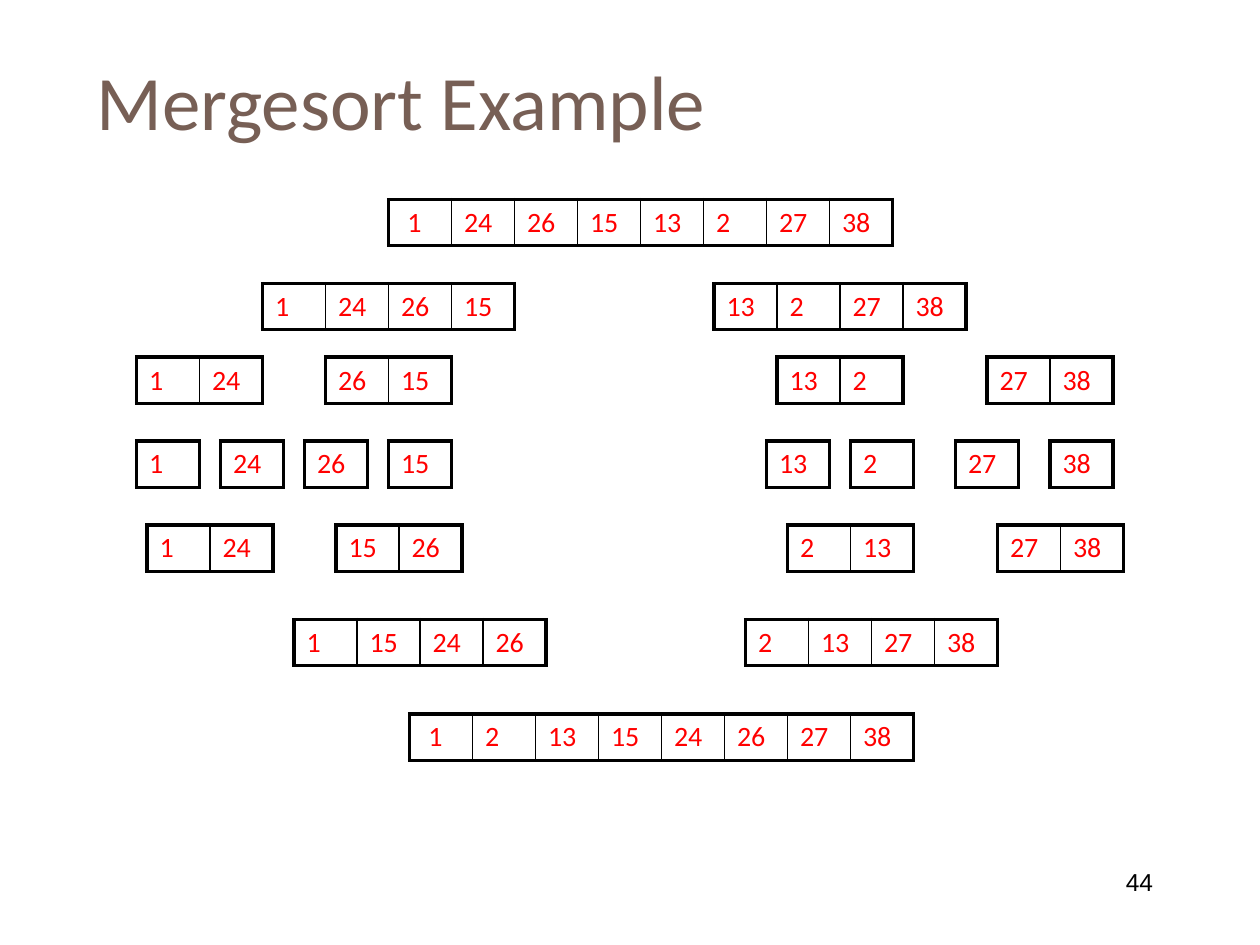
from dataclasses import dataclass

from lxml.etree import SubElement
from pptx import Presentation
from pptx.dml.color import RGBColor
from pptx.enum.text import MSO_ANCHOR, PP_ALIGN
from pptx.oxml.ns import qn
from pptx.util import Emu, Pt

EMU_PER_PX = 7620  # 120 px to the inch
CELL_WIDTH, CELL_HEIGHT = 60, 44


@dataclass(frozen=True)
class Theme:
    heading: str = "775F55"
    number: str = "FF0000"
    ink: str = "000000"
    body_font: str = "Calibri"
    footer_font: str = "Arial"
    heading_size: int = 44
    number_size: int = 16
    footer_size: int = 14
    outer_line: float = 2.25
    inner_line: float = 1


@dataclass(frozen=True)
class SortedRun:
    left: int
    numbers: str  # comma-separated cell texts


@dataclass(frozen=True)
class Level:
    top: int
    runs: tuple[SortedRun, ...]


THEME = Theme()

LEVELS = (
    # Splitting
    Level(190, (SortedRun(370, " 1,24,26,15,13,2,27,38"),)),
    Level(270, (SortedRun(250, "1,24,26,15"), SortedRun(680, "13,2,27,38"))),
    Level(340, (SortedRun(130, "1,24"), SortedRun(310, "26,15"),
                SortedRun(740, "13,2"), SortedRun(940, "27,38"))),
    Level(420, (SortedRun(130, "1"), SortedRun(210, "24"),
                SortedRun(290, "26"), SortedRun(370, "15"),
                SortedRun(730, "13"), SortedRun(810, "2"),
                SortedRun(910, "27"), SortedRun(1000, "38"))),
    # Merging
    Level(500, (SortedRun(140, "1,24"), SortedRun(320, "15,26"),
                SortedRun(750, "2,13"), SortedRun(950, "27,38"))),
    Level(590, (SortedRun(280, "1,15,24,26"), SortedRun(710, "2,13,27,38"))),
    Level(680, (SortedRun(390, " 1,2,13,15,24,26,27,38"),)),
)


def px(length: int) -> Emu:
    return Emu(length * EMU_PER_PX)


def write_text(frame, text: str, *, size: int, color: str,
               font: str = THEME.body_font, align=PP_ALIGN.LEFT) -> None:
    paragraph = frame.paragraphs[0]
    paragraph.alignment = align
    run = paragraph.add_run()
    run.text = text
    run.font.size = Pt(size)
    run.font.name = font
    run.font.color.rgb = RGBColor.from_string(color)


def add_text_box(slide, left: int, top: int, width: int, height: int,
                 text: str, *, anchor=MSO_ANCHOR.TOP, **text_format) -> None:
    frame = slide.shapes.add_textbox(
        px(left), px(top), px(width), px(height)).text_frame
    frame.word_wrap = True
    frame.vertical_anchor = anchor
    write_text(frame, text, **text_format)


def set_borders(cell, is_first: bool, is_last: bool) -> None:
    outer, inner = THEME.outer_line, THEME.inner_line
    widths = {"a:lnL": outer if is_first else inner,
              "a:lnR": outer if is_last else inner,
              "a:lnT": outer, "a:lnB": outer}
    properties = cell._tc.get_or_add_tcPr()
    for side, width in widths.items():
        line = SubElement(properties, qn(side), w=str(Pt(width)))
        fill = SubElement(line, qn("a:solidFill"))
        SubElement(fill, qn("a:srgbClr"), val=THEME.ink)


def draw_run(slide, top: int, sorted_run: SortedRun) -> None:
    numbers = sorted_run.numbers.split(",")
    count = len(numbers)
    table = slide.shapes.add_table(
        1, count, px(sorted_run.left), px(top),
        px(count * CELL_WIDTH), px(CELL_HEIGHT)).table
    table.first_row = False
    table.horz_banding = False
    for index, number in enumerate(numbers):
        table.columns[index].width = px(CELL_WIDTH)
        cell = table.cell(0, index)
        set_borders(cell, index == 0, index == count - 1)
        cell.fill.background()
        write_text(cell.text_frame, number,
                   size=THEME.number_size, color=THEME.number)


def main() -> None:
    presentation = Presentation()
    presentation.slide_width = px(1200)
    presentation.slide_height = px(900)
    slide = presentation.slides.add_slide(presentation.slide_layouts[6])

    # Slide number and heading
    add_text_box(slide, 860, 820, 250, 60, "44", size=THEME.footer_size,
                 color=THEME.ink, font=THEME.footer_font, align=PP_ALIGN.RIGHT)
    add_text_box(slide, 80, 30, 1070, 130, "Mergesort Example",
                 size=THEME.heading_size, color=THEME.heading,
                 anchor=MSO_ANCHOR.MIDDLE)

    # Split and merge levels
    for level in LEVELS:
        for sorted_run in level.runs:
            draw_run(slide, level.top, sorted_run)

    presentation.save("out.pptx")


if __name__ == "__main__":
    main()
